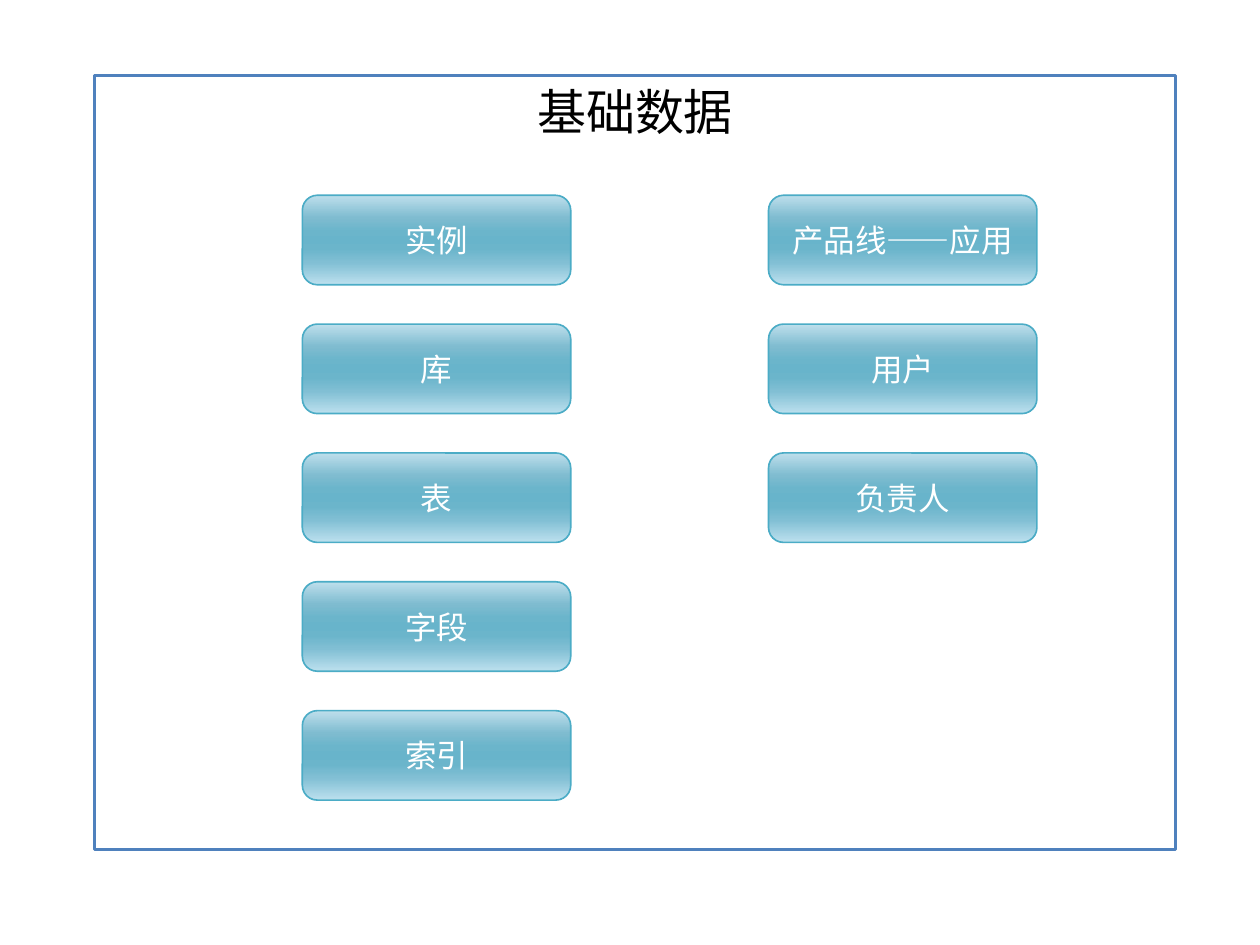
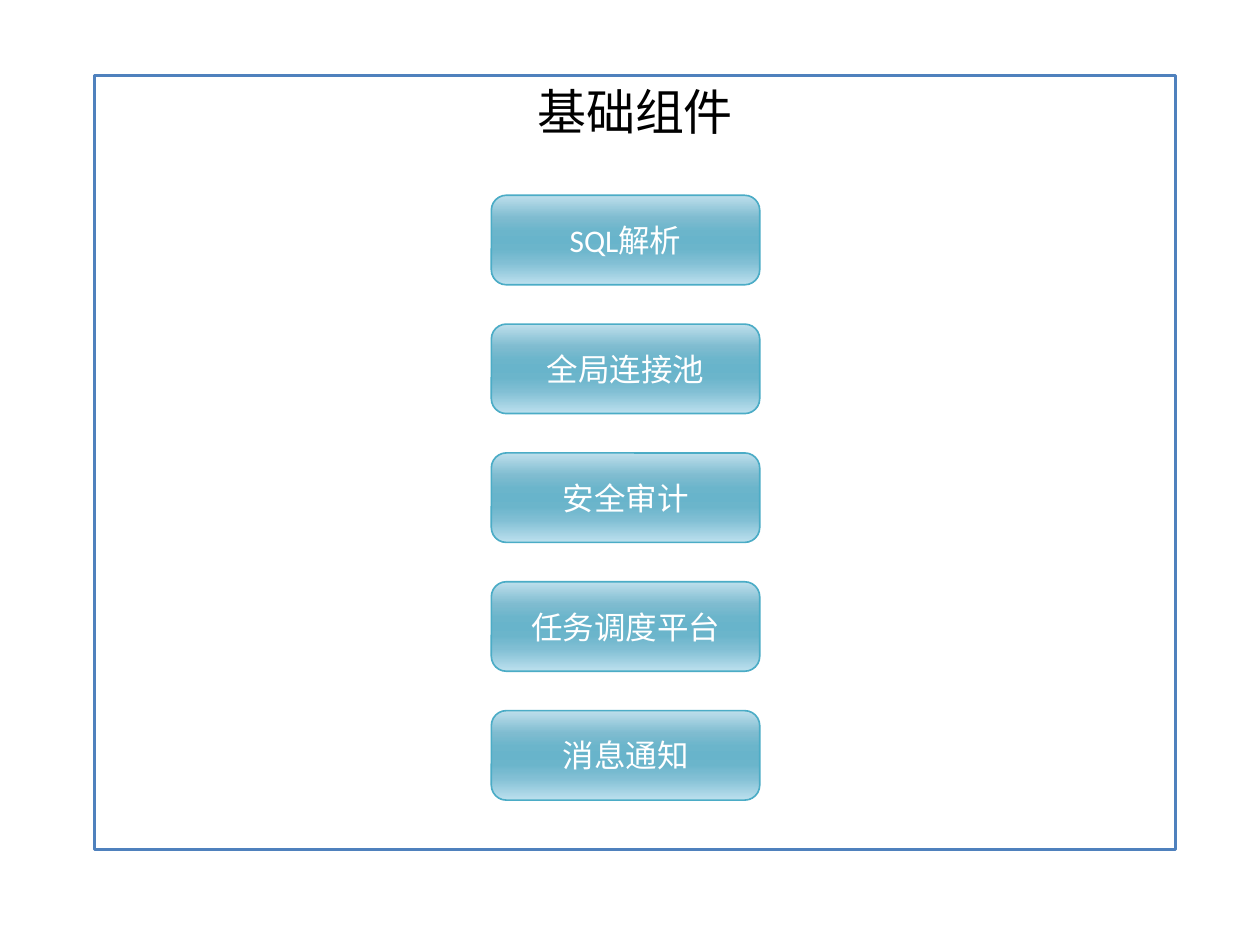
"""Two framed overview slides: columns of glossy buttons under a centred title."""
from lxml import etree
from pptx import Presentation
from pptx.dml.color import RGBColor
from pptx.enum import shapes, text
from pptx.oxml import ns
from pptx.util import Inches, Pt

SLIDES = [
    ("基础数据", [
        (2.4, ["实例", "库", "表", "字段", "索引"]),
        (6.1, ["产品线——应用", "用户", "负责人"]),
    ]),
    ("基础组件", [
        (3.9, ["SQL解析", "全局连接池", "安全审计", "任务调度平台", "消息通知"]),
    ]),
]

WHITE = RGBColor(0xFF, 0xFF, 0xFF)
BLACK = RGBColor(0x00, 0x00, 0x00)
FRAME_BLUE = RGBColor(0x4F, 0x81, 0xBD)
BUTTON_EDGE = RGBColor(0x4B, 0xAC, 0xC6)
GLOSS = [
    (0, RGBColor(0xBE, 0xDF, 0xEC)),
    (25, RGBColor(0x7F, 0xBC, 0xD0)),
    (40, RGBColor(0x6B, 0xB5, 0xCB)),
    (50, RGBColor(0x68, 0xB4, 0xCB)),
    (60, RGBColor(0x6B, 0xB5, 0xCB)),
    (75, RGBColor(0x81, 0xBF, 0xD4)),
    (100, RGBColor(0xBC, 0xE0, 0xEE)),
]

FRAME = (0.75, 0.6, 8.58, 6.14)
BUTTON_WIDTH, BUTTON_HEIGHT = 2.13, 0.71
FIRST_TOP, ROW_STEP = 1.55, 1.0225


def write_text(shape, words, font_name, size, colour, anchor):
    """Put one centred run of text in the shape."""
    frame = shape.text_frame
    frame.word_wrap = True
    frame.auto_size = text.MSO_AUTO_SIZE.NONE
    frame.vertical_anchor = anchor
    paragraph = frame.paragraphs[0]
    paragraph.alignment = text.PP_ALIGN.CENTER
    run = paragraph.add_run()
    run.text = words
    run.font.name = font_name
    run.font.size = Pt(size)
    run.font.color.rgb = colour


def set_line(shape, colour, width):
    """Outline the shape."""
    shape.line.color.rgb = colour
    shape.line.width = Pt(width)


def fill_gloss(shape):
    """Fill the shape with the vertical gloss gradient."""
    shape.fill.gradient()
    shape.fill.gradient_angle = 270
    stops = shape.element.spPr.find(ns.qn("a:gradFill")).find(ns.qn("a:gsLst"))
    for stop in list(stops):
        stops.remove(stop)
    for percent, colour in GLOSS:
        stop = etree.SubElement(stops, ns.qn("a:gs"), pos=str(percent * 1000))
        etree.SubElement(stop, ns.qn("a:srgbClr"), val=str(colour))


def add_titled_frame(slide, title):
    """Turn the title placeholder into the large frame."""
    frame = slide.shapes.title
    frame.left, frame.top, frame.width, frame.height = map(Inches, FRAME)
    frame.fill.solid()
    frame.fill.fore_color.rgb = WHITE
    set_line(frame, FRAME_BLUE, 1.5)
    write_text(frame, title, "Arial", 28, BLACK, text.MSO_ANCHOR.TOP)


def add_button(slide, left, top, label):
    """Add one glossy rounded button."""
    button = slide.shapes.add_shape(
        shapes.MSO_SHAPE.ROUNDED_RECTANGLE, Inches(left), Inches(top),
        Inches(BUTTON_WIDTH), Inches(BUTTON_HEIGHT))
    button.shadow.inherit = False
    fill_gloss(button)
    set_line(button, BUTTON_EDGE, 0.94)
    write_text(button, label, "Calibri", 18, WHITE, text.MSO_ANCHOR.MIDDLE)


def main():
    """Build and save the presentation."""
    presentation = Presentation()
    presentation.slide_width, presentation.slide_height = Inches(10), Inches(7.5)
    title_only = presentation.slide_layouts[5]
    for title, columns in SLIDES:
        slide = presentation.slides.add_slide(title_only)
        add_titled_frame(slide, title)
        for left, labels in columns:
            for row, label in enumerate(labels):
                add_button(slide, left, FIRST_TOP + row * ROW_STEP, label)
    presentation.save("out.pptx")


if __name__ == "__main__":
    main()
